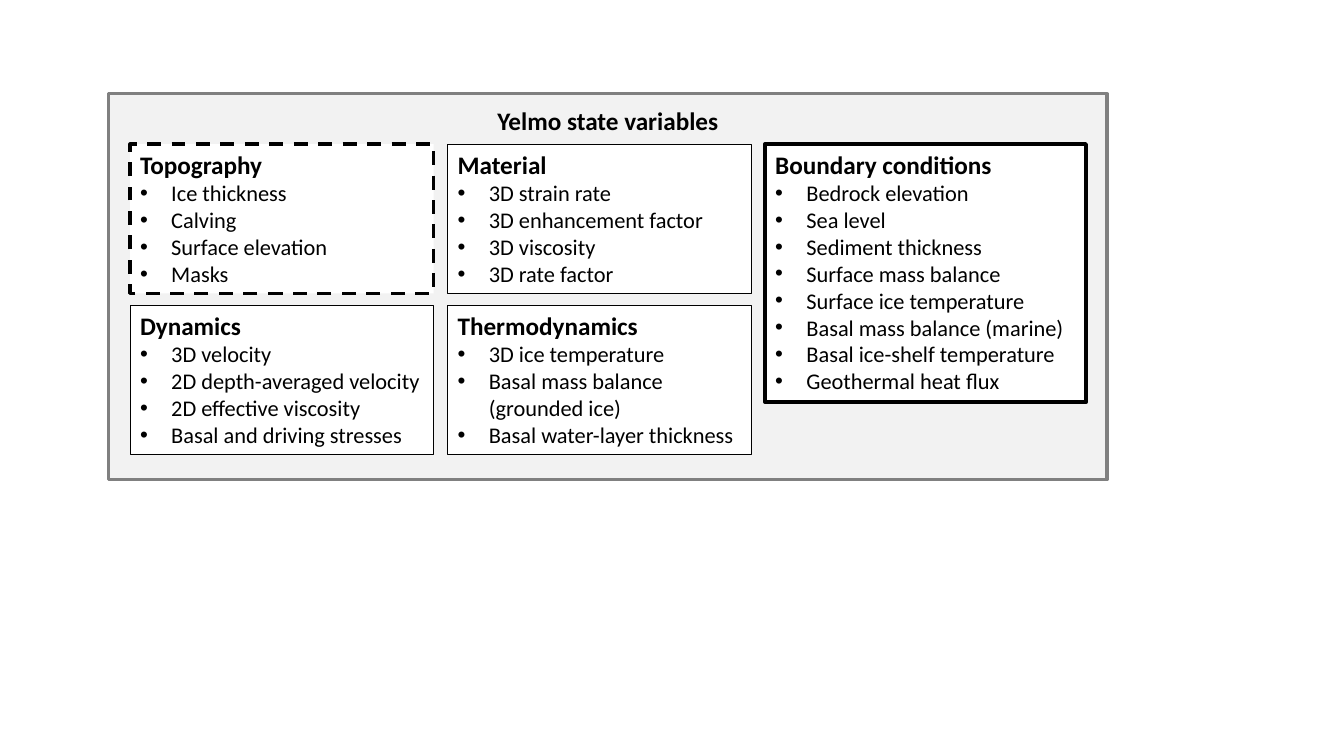
"""Build the slide of Yelmo state variables, grouped in five boxes on a grey panel."""
import pptx
import pptx.dml.color
import pptx.enum.dml
import pptx.enum.shapes
import pptx.enum.text
import pptx.util
from dataclasses import dataclass
from lxml import etree
from pptx.util import Inches


@dataclass(frozen=True)
class Theme:
    font: str = "Calibri"
    heading_size: int = 18
    item_size: int = 16
    ink: str = "000000"
    box: str = "FFFFFF"
    panel: str = "F2F2F2"
    panel_line: str = "808080"


theme = Theme()


def add_box(left, top, width, height, fill, line, line_width):
    shape = slide.shapes.add_shape(
        pptx.enum.shapes.MSO_SHAPE.RECTANGLE,
        Inches(left), Inches(top), Inches(width), Inches(height))
    shape.shadow.inherit = False
    shape.fill.solid()
    shape.fill.fore_color.rgb = pptx.dml.color.RGBColor.from_string(fill)
    shape.line.color.rgb = pptx.dml.color.RGBColor.from_string(line)
    shape.line.width = pptx.util.Pt(line_width)
    return shape


def add_text(paragraph, text, size, bold):
    run = paragraph.add_run()
    run.text = text
    run.font.name = theme.font
    run.font.size = pptx.util.Pt(size)
    run.font.bold = bold
    run.font.color.rgb = pptx.dml.color.RGBColor.from_string(theme.ink)


presentation = pptx.Presentation()
presentation.slide_width = Inches(13.33)
presentation.slide_height = Inches(7.5)
slide = presentation.slides.add_slide(presentation.slide_layouts[6])

panel_left, panel_width = 1.08, 9.9
add_box(panel_left, 0.93, panel_width, 3.83, theme.panel, theme.panel_line, 2.25)

title = slide.shapes.add_textbox(
    Inches(panel_left), Inches(1), Inches(panel_width), Inches(0.4))
title.text_frame.word_wrap = True
title.text_frame.auto_size = pptx.enum.text.MSO_AUTO_SIZE.SHAPE_TO_FIT_TEXT
title_paragraph = title.text_frame.paragraphs[0]
title_paragraph.alignment = pptx.enum.text.PP_ALIGN.CENTER
add_text(title_paragraph, "Yelmo state variables", theme.heading_size, True)

grid_left, grid_top = 1.29, 1.43
column_step, row_step = 3.15, 1.6
small_box, tall_box = (3.01, 1.48), (3.18, 2.56)
solid, dashed = None, pptx.enum.dml.MSO_LINE.DASH
indent = Inches(0.31)

groups = [
    ("Topography", 0, 0, small_box, 2.5, dashed,
     ["Ice thickness", "Calving", "Surface elevation", "Masks"]),
    ("Dynamics", 0, 1, small_box, 0.75, solid,
     ["3D velocity", "2D depth-averaged velocity", "2D effective viscosity",
      "Basal and driving stresses"]),
    ("Material", 1, 0, small_box, 0.75, solid,
     ["3D strain rate", "3D enhancement factor", "3D viscosity", "3D rate factor"]),
    ("Thermodynamics", 1, 1, small_box, 0.75, solid,
     ["3D ice temperature", "Basal mass balance (grounded ice)",
      "Basal water-layer thickness"]),
    ("Boundary conditions", 2, 0, tall_box, 3, solid,
     ["Bedrock elevation", "Sea level", "Sediment thickness", "Surface mass balance",
      "Surface ice temperature", "Basal mass balance (marine)",
      "Basal ice-shelf temperature", "Geothermal heat flux"]),
]

for heading, column, row, (width, height), line_width, dash, items in groups:
    box = add_box(grid_left + column * column_step, grid_top + row * row_step,
                  width, height, theme.box, theme.ink, line_width)
    box.line.dash_style = dash
    frame = box.text_frame
    frame.word_wrap = True
    frame.auto_size = pptx.enum.text.MSO_AUTO_SIZE.SHAPE_TO_FIT_TEXT
    frame.vertical_anchor = pptx.enum.text.MSO_ANCHOR.TOP
    frame.paragraphs[0].alignment = pptx.enum.text.PP_ALIGN.LEFT
    add_text(frame.paragraphs[0], heading, theme.heading_size, True)
    for item in items:
        paragraph = frame.add_paragraph()
        paragraph.alignment = pptx.enum.text.PP_ALIGN.LEFT
        add_text(paragraph, item, theme.item_size, False)
        properties = paragraph._p.get_or_add_pPr()
        properties.set("marL", str(indent))
        properties.set("indent", str(-indent))
        bullet_font = etree.SubElement(properties, pptx.oxml.ns.qn("a:buFont"))
        bullet_font.set("typeface", "Arial")
        bullet = etree.SubElement(properties, pptx.oxml.ns.qn("a:buChar"))
        bullet.set("char", "•")

presentation.save("out.pptx")
